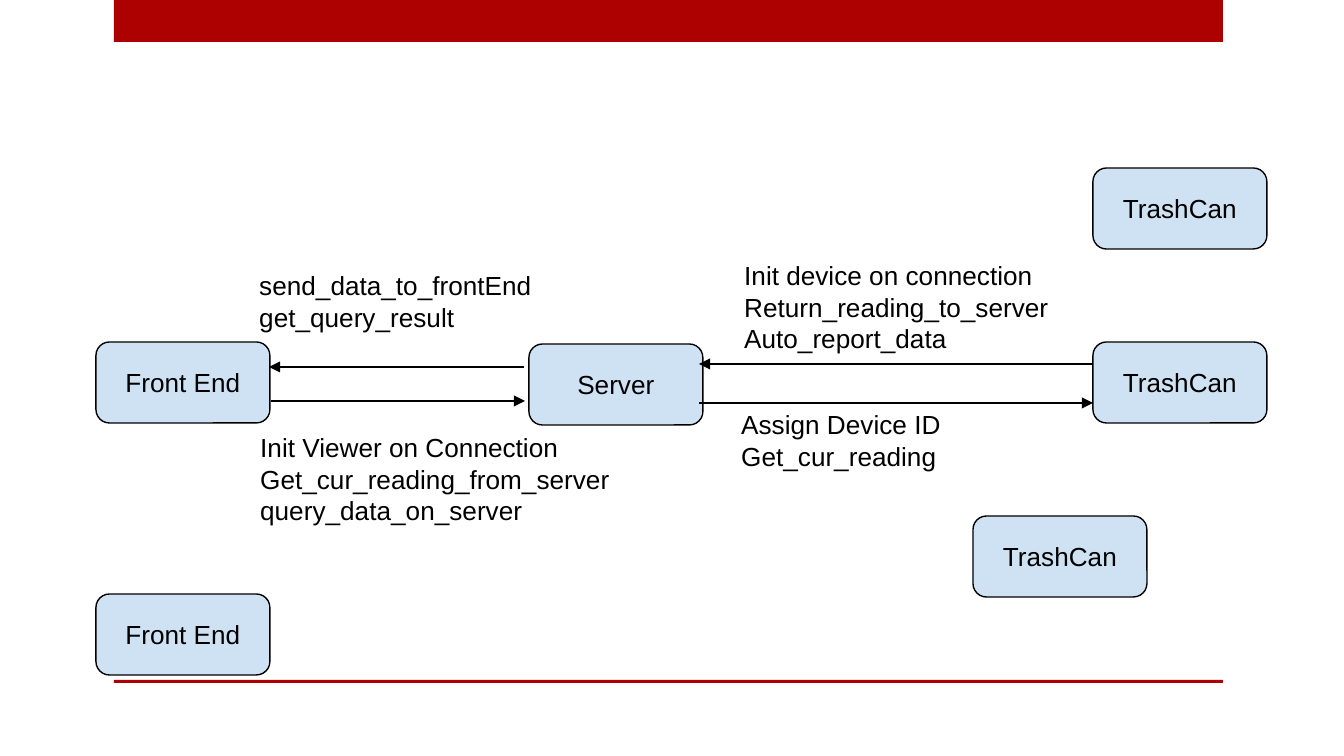
from lxml import etree
from pptx import Presentation
from pptx.dml.color import RGBColor
from pptx.enum.shapes import MSO_CONNECTOR, MSO_SHAPE
from pptx.enum.text import MSO_ANCHOR, PP_ALIGN
from pptx.oxml.ns import qn
from pptx.util import Inches, Pt

RECTANGLE, ROUNDED = MSO_SHAPE.RECTANGLE, MSO_SHAPE.ROUNDED_RECTANGLE
STRAIGHT = MSO_CONNECTOR.STRAIGHT
MIDDLE = MSO_ANCHOR.MIDDLE
LEFT, CENTER = PP_ALIGN.LEFT, PP_ALIGN.CENTER

PX = 914400 / 134.4
SLIDE_SIZE = 1344, 756
RED, PALE_BLUE, BLACK = "AD0101", "CFE2F3", "000000"
NODE_SIZE = 174, 81

# left, top, width, height
BARS = [(114, 0, 1109, 42), (114, 680, 1109, 3)]

# name, left, top
NODES = [
    ("Server", 529, 344),
    ("TrashCan", 1093, 168),
    ("TrashCan", 1093, 342),
    ("TrashCan", 973, 516),
    ("Front End", 96, 342),
    ("Front End", 96, 594),
]

# start x, end x, y
MESSAGES = [(699, 1093, 403), (271, 525, 401), (524, 269, 367), (1093, 699, 364)]

# calls, left, top, width, height
CALL_LISTS = [
    (["Init device on connection", "Return_reading_to_server", "Auto_report_data"],
     731, 253, 332, 109),
    (["Assign Device ID", "Get_cur_reading"], 728, 402, 228, 77),
    (["send_data_to_frontEnd", "get_query_result"], 246, 263, 301, 77),
    (["Init Viewer on Connection", "Get_cur_reading_from_server", "query_data_on_server"],
     247, 425, 378, 109),
]


def px(*lengths):
    return [round(length * PX) for length in lengths]


def color(hex_string):
    return RGBColor.from_string(hex_string)


def add_block(slide, kind, box, fill):
    block = slide.shapes.add_shape(kind, *px(*box))
    block.shadow.inherit = False
    block.fill.solid()
    block.fill.fore_color.rgb = color(fill)
    block.line.fill.background()
    return block


def outline(line):
    line.color.rgb = color(BLACK)
    line.width = Pt(0.75)


def write(frame, lines, align):
    frame.text = "\n".join(lines)
    for paragraph in frame.paragraphs:
        paragraph.alignment = align
        paragraph.font.name = "Arial"
        paragraph.font.size = Pt(14)
        paragraph.font.color.rgb = color(BLACK)


def add_node(slide, name, left, top):
    node = add_block(slide, ROUNDED, (left, top, *NODE_SIZE), PALE_BLUE)
    outline(node.line)
    frame = node.text_frame
    frame.vertical_anchor = MIDDLE
    frame.margin_left = frame.margin_right = Inches(0.1)
    frame.margin_top = frame.margin_bottom = Inches(0.1)
    write(frame, [name], CENTER)


def add_message(slide, start, end, y):
    arrow = slide.shapes.add_connector(STRAIGHT, *px(start, y, end, y))
    outline(arrow.line)
    etree.SubElement(arrow.line._get_or_add_ln(), qn("a:tailEnd"), type="triangle")
    etree.SubElement(arrow._element.spPr, qn("a:effectLst"))


def add_call_list(slide, calls, *box):
    frame = slide.shapes.add_textbox(*px(*box)).text_frame
    frame.word_wrap = False
    write(frame, calls, LEFT)


def main():
    presentation = Presentation()
    presentation.slide_width, presentation.slide_height = px(*SLIDE_SIZE)
    slide = presentation.slides.add_slide(presentation.slide_layouts[6])
    for bar in BARS:
        add_block(slide, RECTANGLE, bar, RED)
    for node in NODES:
        add_node(slide, *node)
    for message in MESSAGES:
        add_message(slide, *message)
    for call_list in CALL_LISTS:
        add_call_list(slide, *call_list)
    presentation.save("out.pptx")


if __name__ == "__main__":
    main()
